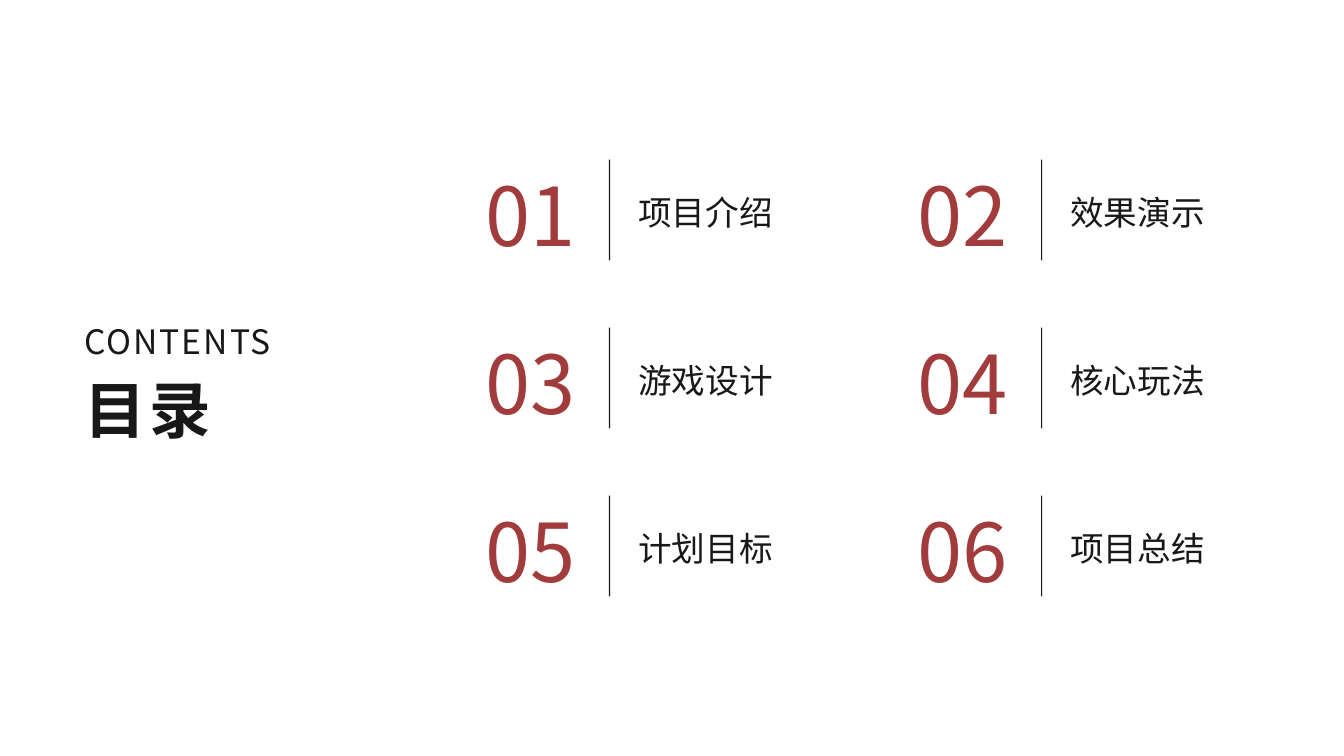
from dataclasses import dataclass

import lxml.etree
import pptx
import pptx.dml.color
import pptx.enum.shapes
import pptx.enum.text
import pptx.oxml.ns
import pptx.util

Pt = pptx.util.Pt
RGB = pptx.dml.color.RGBColor
Align = pptx.enum.text.PP_ALIGN
Anchor = pptx.enum.text.MSO_ANCHOR


@dataclass(frozen=True)
class Theme:
    font: str = "Noto Sans CJK SC"
    ink: RGB = RGB(0x18, 0x18, 0x18)
    accent: RGB = RGB(0xA2, 0x3C, 0x3C)
    body_size: float = 24
    title_size: float = 44
    number_size: float = 58


@dataclass(frozen=True)
class Box:
    left: float
    top: float
    width: float
    height: float

    def lengths(self) -> tuple:
        return Pt(self.left), Pt(self.top), Pt(self.width), Pt(self.height)


@dataclass(frozen=True)
class Entry:
    number: str
    label: str
    left: float
    top: float


THEME = Theme()
LABELS = ["项目介绍", "效果演示", "游戏设计", "核心玩法", "计划目标", "项目总结"]
COLUMNS = 2
GRID_LEFT, GRID_TOP = 337, 114
COLUMN_STEP, ROW_STEP = 308.6, 120
ROW_HEIGHT = 72


def write(sp, text: str, *, size: float, color: RGB = THEME.ink, bold: bool = False,
          align=Align.LEFT, anchor=Anchor.TOP, line_spacing: float = 1.0,
          space_after: float = 0, tracking: float = 0) -> None:
    tf = sp.text_frame
    tf.word_wrap = True
    tf.auto_size = pptx.enum.text.MSO_AUTO_SIZE.NONE
    tf.vertical_anchor = anchor
    tf.margin_left = tf.margin_top = tf.margin_right = tf.margin_bottom = 0
    p = tf.paragraphs[0]
    p.alignment = align
    p.line_spacing = line_spacing
    p.space_after = Pt(space_after)
    r = p.add_run()
    r.text = text
    r.font.name = THEME.font
    r.font.size = Pt(size)
    r.font.bold = bold
    r.font.color.rgb = color
    rpr = r.font._element
    lxml.etree.SubElement(rpr, pptx.oxml.ns.qn("a:ea"), typeface=THEME.font)
    if tracking:
        rpr.set("spc", str(round(tracking * 100)))


def draw_heading(s) -> None:
    subtitle = s.shapes.add_textbox(*Box(60, 222, 173, 36).lengths())
    write(subtitle, "CONTENTS", size=THEME.body_size, line_spacing=1.25,
          space_after=10, tracking=1.5)
    title = s.shapes.title
    title.left, title.top, title.width, title.height = Box(60, 258, 178, 60).lengths()
    write(title, "目录", size=THEME.title_size, bold=True, line_spacing=1.14, tracking=3)


def draw_entry(s, entry: Entry) -> None:
    shapes = s.shapes.add_group_shape().shapes
    number = shapes.add_textbox(*Box(entry.left, entry.top + 7, 83.5, 58).lengths())
    write(number, entry.number, size=THEME.number_size, color=THEME.accent,
          align=Align.CENTER, anchor=Anchor.MIDDLE, line_spacing=1.09)
    rule = shapes.add_shape(pptx.enum.shapes.MSO_SHAPE.RECTANGLE,
                            *Box(entry.left + 98, entry.top, 0.9, ROW_HEIGHT).lengths())
    rule.shadow.inherit = False
    rule.fill.solid()
    rule.fill.fore_color.rgb = THEME.ink
    rule.line.fill.background()
    label = shapes.add_textbox(*Box(entry.left + 119, entry.top, 153, ROW_HEIGHT).lengths())
    write(label, entry.label, size=THEME.body_size, anchor=Anchor.MIDDLE, line_spacing=1.11)


def main() -> None:
    prs = pptx.Presentation()
    prs.slide_width, prs.slide_height = Pt(960), Pt(540)
    s = prs.slides.add_slide(prs.slide_layouts.get_by_name("Title Only"))
    draw_heading(s)
    for i, label in enumerate(LABELS):
        row, column = divmod(i, COLUMNS)
        draw_entry(s, Entry(f"{i + 1:02d}", label, GRID_LEFT + column * COLUMN_STEP,
                            GRID_TOP + row * ROW_STEP))
    prs.save("out.pptx")


if __name__ == "__main__":
    main()
